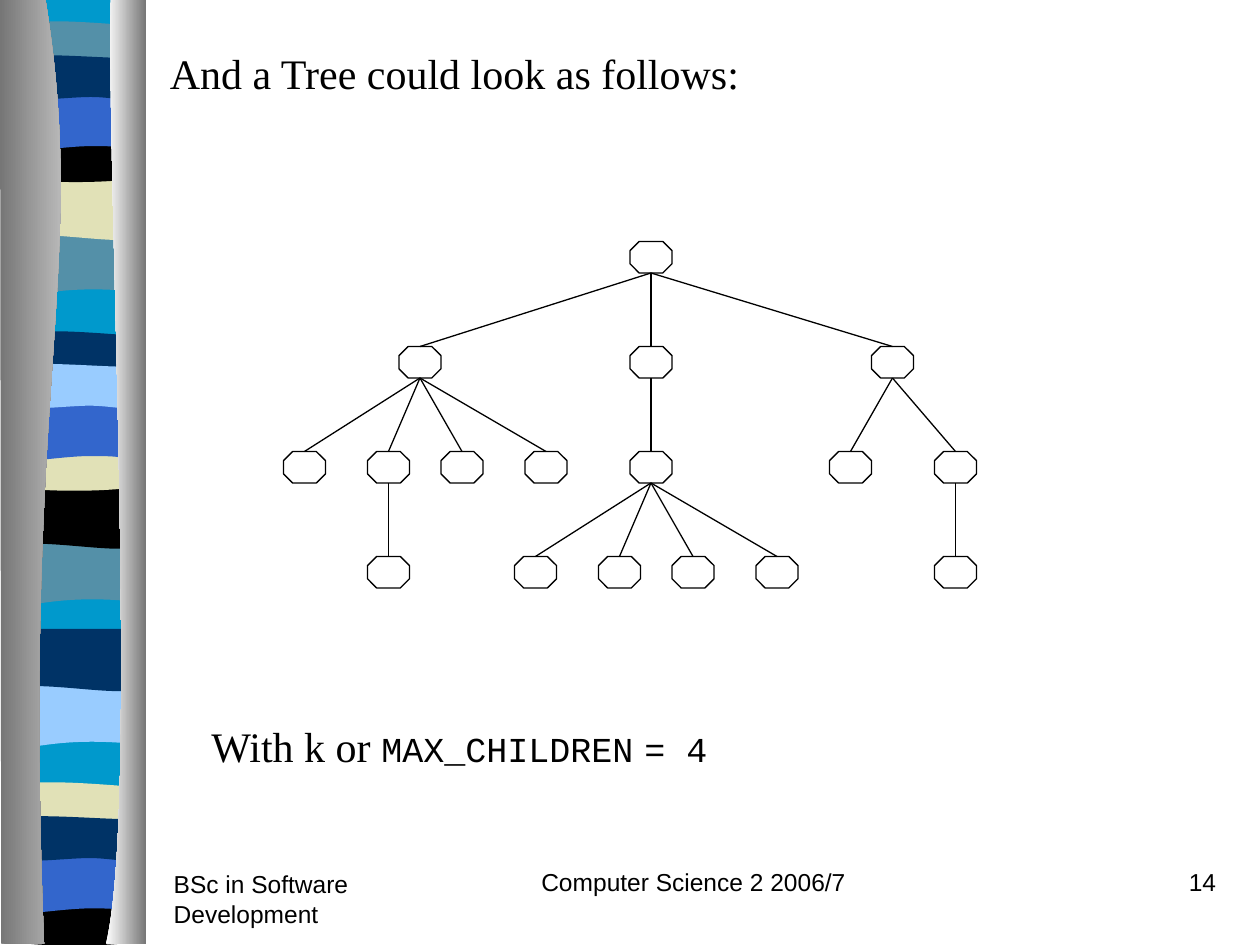
from pptx import Presentation
from pptx.dml.color import RGBColor
from pptx.enum.shapes import MSO_CONNECTOR, MSO_SHAPE
from pptx.enum.text import MSO_AUTO_SIZE, PP_ALIGN
from pptx.oxml.ns import qn
from pptx.util import Inches, Pt
from lxml import etree

OCTAGON = MSO_SHAPE.OCTAGON
STRAIGHT = MSO_CONNECTOR.STRAIGHT
GROW = MSO_AUTO_SIZE.SHAPE_TO_FIT_TEXT
LEFT, CENTER, RIGHT = PP_ALIGN.LEFT, PP_ALIGN.CENTER, PP_ALIGN.RIGHT

SERIF, SANS, MONO = "Times New Roman", "Arial", "Courier New"
BLACK, WHITE, GREY = "000000", "FFFFFF", "767676"
SKY, TEAL, NAVY = "0099CC", "5490A8", "003366"
BLUE, SAND, PALE = "3366CC", "E1E1B7", "99CCFF"

# Outlines: a list of segments, with one point for a line and three for a curve
HOOK = [[(1.08, 0)], [(1.08, 0.47)],
        [(0.33, 0.39), (0.18, 0.55), (0, 0.47)], [(0, 0)]]
RIPPLE = [[(1.08, 0)], [(1.08, 0.47)],
          [(0.9, 0.55), (0.33, 0.41), (0, 0.47)], [(0, 0)]]
SWELL = [[(1.08, 0.05)], [(1.08, 0.29)],
         [(0.9, 0.33), (0.18, 0.33), (0, 0.29)], [(0, 0.05)],
         [(0.06, 0), (0.23, 0.01), (0.41, 0.01)],
         [(0.59, 0.01), (0.94, 0.04), (1.08, 0.05)]]
BOWL = [[(1.08, 0)], [(1.08, 0.32)],
        [(0.9, 0.38), (0.18, 0.38), (0, 0.32)], [(0, 0)],
        [(0.66, 0.05), (0.85, 0), (1.08, 0)]]
ARCH = [[(1.08, 0)], [(1.08, 0.47)],
        [(0.91, 0.42), (0.84, 0.42), (0.66, 0.42)],
        [(0.48, 0.42), (0.16, 0.47), (0, 0.47)], [(0, 0)]]
FLAG = [[(1.08, 0.05)], [(1.08, 0.36)],
        [(1.01, 0.41), (0.84, 0.36), (0.66, 0.36)],
        [(0.48, 0.36), (0.11, 0.41), (0, 0.36)], [(0, 0.05)],
        [(0.15, 0), (0.73, 0.05), (0.91, 0.05)],
        [(1.09, 0.05), (1.04, 0.05), (1.08, 0.05)]]
BACKDROP = [[(1.08, 0)], [(1.08, 7.48)], [(0, 7.48)], [(0, 0)]]

# The same six waves come three times: left edge, then top and colour of each
WAVES = [HOOK, RIPPLE, SWELL, BOWL, ARCH, FLAG]
WAVE_SETS = [
    (0.06, [(1.85, TEAL), (1.41, SAND), (0.16, TEAL),
            (1.08, BLACK), (0.74, BLUE), (0.41, NAVY)]),
    (0.05, [(4.31, TEAL), (3.86, BLACK), (2.62, NAVY),
            (3.53, SAND), (3.2, BLUE), (2.86, PALE)]),
    (0.05, [(5.44, PALE), (4.99, NAVY), (6.2, SAND),
            (7.14, BLACK), (6.79, BLUE), (6.45, NAVY)]),
]

LEFT_PILLAR = [[(0.36, 0)], [(0.71, 2.17), (0.17, 2.97), (0.35, 7.5)],
               [(0.01, 7.5)], [(0, 0)]]
RIGHT_PILLAR = [[(0.88, 0)], [(0.84, 1.26), (1.11, 6.47), (0.84, 7.5)],
                [(1.16, 7.5)], [(1.16, 0.01)]]

# The tree lies on a grid of twelfths of an inch; node: centre and children
GRID = 1 / 12
TREE = (62, [
    (40, [(29, []), (37, [(37, [])]), (44, []), (52, [])]),
    (62, [(62, [(51, []), (59, []), (66, []), (74, [])])]),
    (85, [(81, []), (91, [(91, [])])]),
])
TREE_TOP, LEVEL_STEP = 23, 10
NODE_WIDTH, NODE_HEIGHT = 4, 3


def color(hex_string):
    return RGBColor.from_string(hex_string)


def add_outline(slide, left, top, segments):
    points = [(Inches(left + x), Inches(top + y))
              for segment in segments for x, y in segment]
    builder = slide.shapes.build_freeform(*points[0])
    builder.add_line_segments(points[1:], close=True)
    shape = builder.convert_to_shape()
    shape.shadow.inherit = False
    shape.line.fill.background()

    # Join the three points of each curve
    outline = shape._element.find(".//" + qn("a:path"))
    lines = iter(outline.findall(qn("a:lnTo")))
    for segment in segments[1:]:
        parts = [next(lines) for _ in segment]
        if len(parts) == 3:
            curve = outline.makeelement(qn("a:cubicBezTo"))
            parts[0].addprevious(curve)
            for part in parts:
                curve.append(part[0])
                outline.remove(part)
    return shape


def add_stripe(slide, left, top, segments, fill):
    shape = add_outline(slide, left, top, segments)
    shape.fill.solid()
    shape.fill.fore_color.rgb = color(fill)


def add_pillar(slide, top, segments, shades):
    shape = add_outline(slide, 0, top, segments)
    shape.fill.gradient()
    shape.fill.gradient_angle = 0
    for stop, shade in zip(shape.fill.gradient_stops, shades):
        stop.color.rgb = color(shade)


def add_side_panel(slide, top):
    add_stripe(slide, 0.06, top, BACKDROP, SKY)
    for left, stripes in WAVE_SETS:
        for wave, (stripe_top, fill) in zip(WAVES, stripes):
            add_stripe(slide, left, stripe_top, wave, fill)
    add_pillar(slide, top, LEFT_PILLAR, (GREY, "D8D8D8"))
    add_pillar(slide, top, RIGHT_PILLAR, (WHITE, GREY))


def add_edge(slide, *ends):
    connector = slide.shapes.add_connector(
        STRAIGHT, *(Inches(value * GRID) for value in ends))
    connector.line.color.rgb = color(BLACK)
    connector.line.width = Pt(0.75)
    etree.SubElement(connector._element.spPr, qn("a:effectLst"))


def add_tree(slide, node, top):
    center, children = node
    box = (center - NODE_WIDTH / 2, top, NODE_WIDTH, NODE_HEIGHT)
    shape = slide.shapes.add_shape(OCTAGON, *(Inches(value * GRID) for value in box))
    shape.adjustments[0] = 0.29
    shape.shadow.inherit = False
    shape.fill.background()
    shape.line.color.rgb = color(BLACK)
    shape.line.width = Pt(0.75)
    for child in children:
        child_top = top + LEVEL_STEP
        add_edge(slide, center, top + NODE_HEIGHT, child[0], child_top)
        add_tree(slide, child, child_top)


def add_text(slide, box, runs, align=LEFT, grow=False):
    shape = slide.shapes.add_textbox(*(Inches(value) for value in box))
    text_frame = shape.text_frame
    text_frame.word_wrap = True
    if grow:
        text_frame.auto_size = GROW
    paragraph = text_frame.paragraphs[0]
    paragraph.alignment = align
    for text, font_name, size in runs:
        run = paragraph.add_run()
        run.text = text
        run.font.name = font_name
        run.font.size = Pt(size)
        run.font.color.rgb = color(BLACK)


def add_footer(slide):
    for box, text, align in [
        ((1.28, 6.85, 2.08, 0.5), "BSc in Software Development", LEFT),
        ((3.92, 6.83, 3.17, 0.5), "Computer Science 2 2006/7", CENTER),
        ((7.67, 6.83, 2.08, 0.5), "14", RIGHT),
    ]:
        add_text(slide, box, [(text, SANS, 14)], align)


def main():
    presentation = Presentation()
    presentation.slide_width = Inches(10)
    presentation.slide_height = Inches(7.5)
    slide = presentation.slides.add_slide(presentation.slide_layouts[6])

    # Decoration and footer
    add_side_panel(slide, -0.01)
    add_footer(slide)

    # Heading, tree and caption
    add_text(slide, (1.25, 0.33, 8.17, 0.5),
             [("And a Tree could look as follows:", SERIF, 24)], grow=True)
    add_tree(slide, TREE, TREE_TOP)
    add_text(slide, (1.58, 5.67, 7.58, 0.5),
             [("With k or ", SERIF, 24), ("MAX_CHILDREN", MONO, 20),
              (" ", SERIF, 24), ("= 4", MONO, 20)], grow=True)

    presentation.save("out.pptx")


if __name__ == "__main__":
    main()
